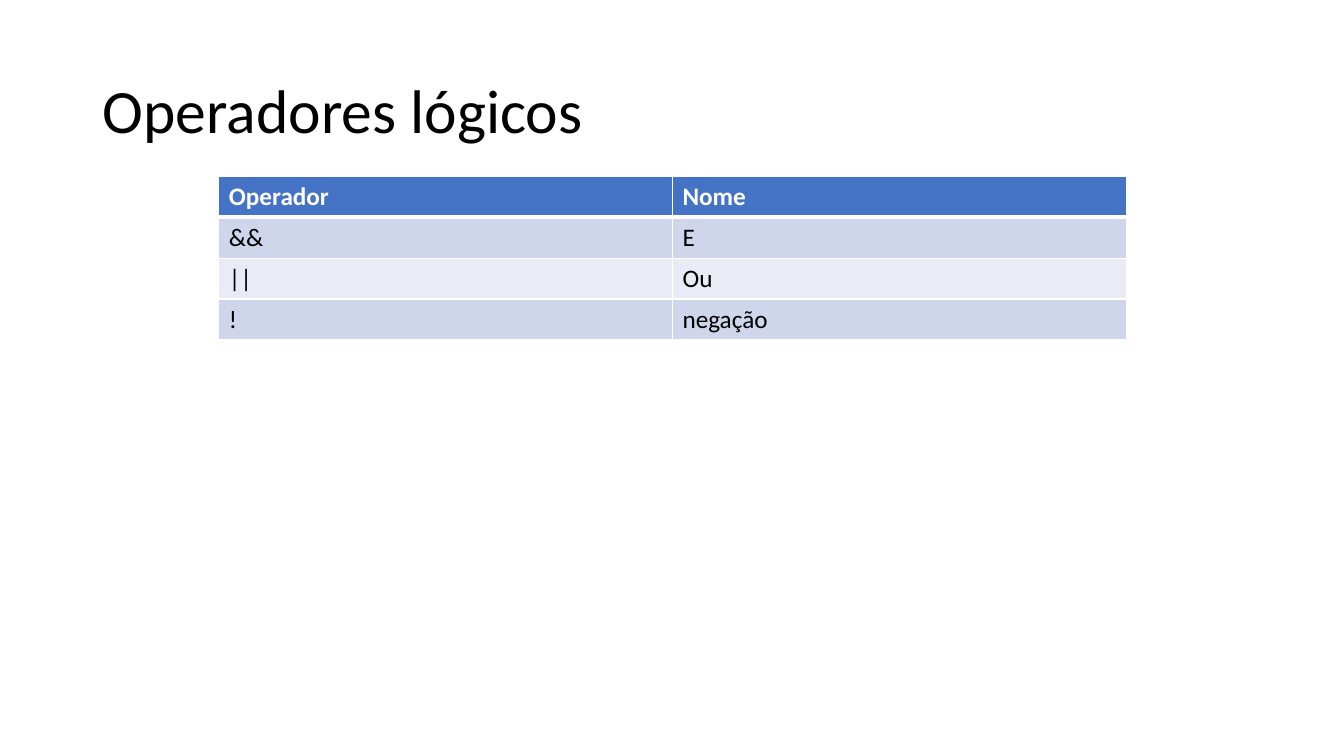
from lxml import etree
from pptx import Presentation
from pptx.dml.color import RGBColor
from pptx.enum.text import MSO_ANCHOR, PP_ALIGN
from pptx.oxml.ns import qn
from pptx.util import Inches, Pt

FONT = "Calibri"
WHITE, BLACK = "FFFFFF", "000000"
HEADER_FILL = "4472C4"
BAND_FILLS = ("CFD5EA", "E9EBF5")
THIN, THICK = 1, 3

OPERATORS = [
    ("Operador", "Nome"),
    ("&&", "E"),
    ("||", "Ou"),
    ("!", "negação"),
]


def color(hex_value):
    return RGBColor.from_string(hex_value)


def format_font(font, hex_color, **values):
    for name, value in {"name": FONT, **values}.items():
        setattr(font, name, value)
    font.color.rgb = color(hex_color)


def add_title(slide, text, left, top, width, height):
    title = slide.shapes.title
    box = {"left": left, "top": top, "width": width, "height": height}
    for name, value in box.items():
        setattr(title, name, Inches(value))
    frame = title.text_frame
    frame.text = text
    frame.word_wrap = True
    frame.vertical_anchor = MSO_ANCHOR.MIDDLE
    paragraph = frame.paragraphs[0]
    paragraph.alignment = PP_ALIGN.LEFT
    paragraph.line_spacing = 0.9
    format_font(paragraph.runs[0].font, BLACK, size=Pt(44), bold=False)


def set_borders(cell, top, bottom):
    """Draw white cell edges; top and bottom are widths in points."""
    properties = cell._tc.get_or_add_tcPr()
    for side, width in {"L": THIN, "R": THIN, "T": top, "B": bottom}.items():
        line = etree.SubElement(properties, qn(f"a:ln{side}"), w=str(Pt(width)))
        fill = etree.SubElement(line, qn("a:solidFill"))
        etree.SubElement(fill, qn("a:srgbClr"), val=WHITE)


def format_cell(cell, text, row):
    is_header = row == 0
    set_borders(cell, THICK if row == 1 else THIN, THICK if is_header else THIN)
    cell.fill.solid()
    cell.fill.fore_color.rgb = color(
        HEADER_FILL if is_header else BAND_FILLS[(row - 1) % 2])
    cell.text = text
    format_font(cell.text_frame.paragraphs[0].runs[0].font,
                WHITE if is_header else BLACK, size=Pt(18), bold=is_header)


def add_operator_table(slide, rows, left, top, width, height):
    table = slide.shapes.add_table(
        len(rows), len(rows[0]),
        Inches(left), Inches(top), Inches(width), Inches(height)).table
    for row, texts in enumerate(rows):
        for column, text in enumerate(texts):
            format_cell(table.cell(row, column), text, row)


def main():
    deck = Presentation()
    deck.slide_width, deck.slide_height = Inches(13.33), Inches(7.5)
    slide = deck.slides.add_slide(deck.slide_layouts[5])
    add_title(slide, "Operadores lógicos", 0.92, 0.4, 11.5, 1.45)
    add_operator_table(slide, OPERATORS, 2.17, 1.75, 9, 1.62)
    deck.save("out.pptx")


if __name__ == "__main__":
    main()
